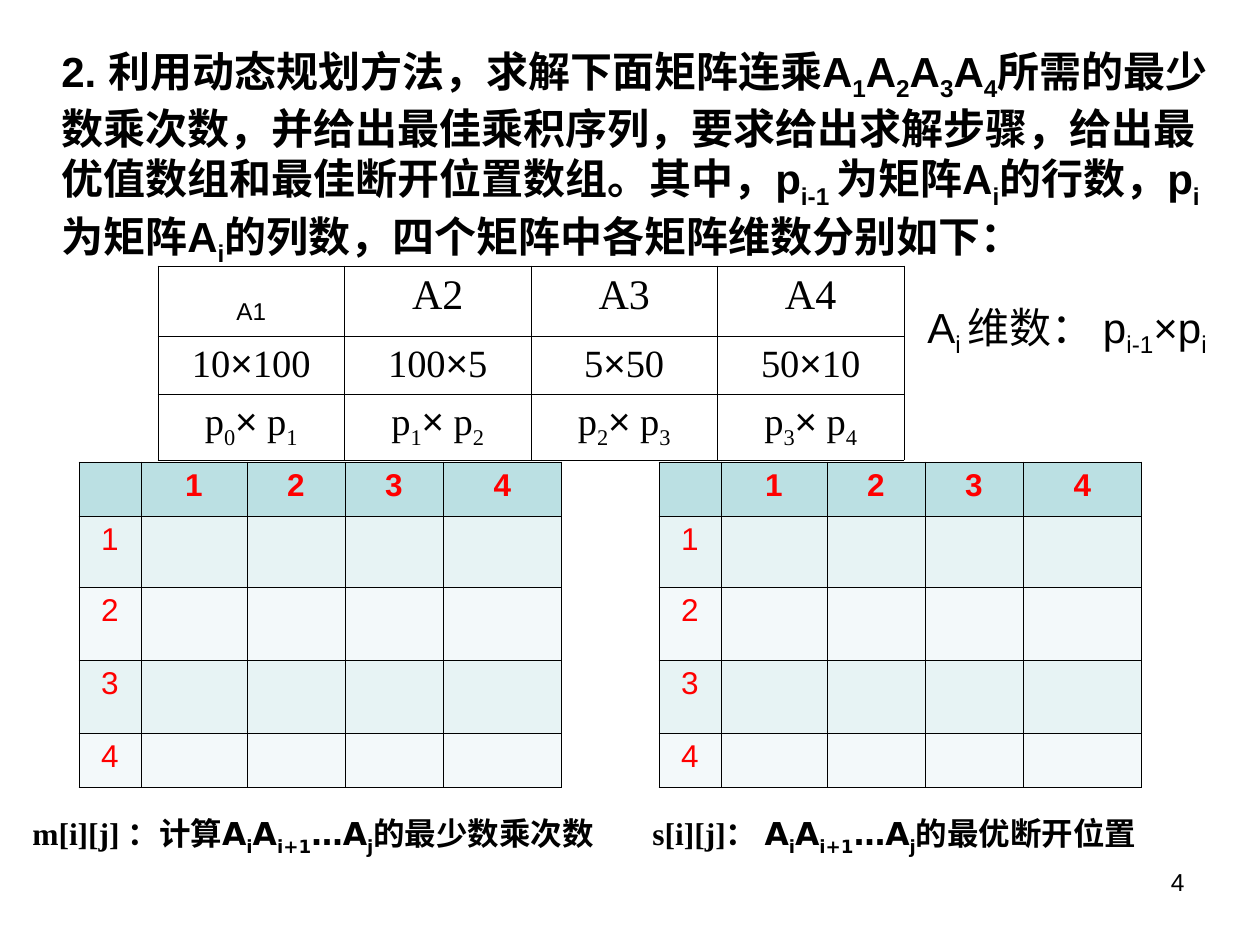
from lxml.etree import SubElement as Sub
from pptx import Presentation
from pptx.dml.color import RGBColor
from pptx.enum.text import MSO_AUTO_SIZE as Fit, PP_ALIGN as Align
from pptx.oxml.ns import qn
from pptx.util import Emu, Pt

SCALE = 914400 / 126
BLACK = RGBColor(0x00, 0x00, 0x00)
RED = RGBColor(0xFF, 0x00, 0x00)
HEAD = RGBColor(0xBB, 0xE0, 0xE3)
BANDS = [RGBColor(0xE7, 0xF3, 0xF4), RGBColor(0xF3, 0xF9, 0xFA)]
SANS, SERIF, WIDE = "Arial", "Times New Roman", "DejaVu Sans"


def px(n):
    return Emu(round(n * SCALE))


def write(par, parts, font, size, color=BLACK, bold=False):
    """Add runs to a paragraph; every second part is a subscript."""
    for i, part in enumerate(parts):
        if not part:
            continue
        run = par.add_run()
        run.text = part
        run.font.name = font
        run.font.size = Pt(size)
        run.font.bold = bold
        run.font.color.rgb = color
        if i % 2:
            run.font._element.set("baseline", "-25000")


def add_text(slide, box, wrap=True, fit=Fit.SHAPE_TO_FIT_TEXT):
    frame = slide.shapes.add_textbox(*map(px, box)).text_frame
    frame.word_wrap = wrap
    frame.auto_size = fit
    return frame.paragraphs[0]


def add_grid(slide, left, top, cols, rows):
    """Add an unstyled table with thin black borders."""
    shape = slide.shapes.add_table(len(rows), len(cols), px(left), px(top),
                                   px(sum(cols)), px(sum(rows)))
    grid = shape.table
    grid.first_row = grid.horz_banding = False
    for col, width in zip(grid.columns, cols):
        col.width = px(width)
    for row, height in zip(grid.rows, rows):
        row.height = px(height)
    for cell in grid.iter_cells():
        props = cell._tc.get_or_add_tcPr()
        for side in ("a:lnL", "a:lnR", "a:lnT", "a:lnB"):
            line = Sub(props, qn(side), w=str(Pt(0.45)))
            Sub(Sub(line, qn("a:solidFill")), qn("a:srgbClr"), val=str(BLACK))
        cell.fill.background()
        cell.text_frame.paragraphs[0].alignment = Align.CENTER
    return grid


def add_task(slide, box):
    parts = ["2. 利用动态规划方法，求解下面矩阵连乘A", "1", "A", "2", "A", "3", "A", "4",
             "所需的最少数乘次数，并给出最佳乘积序列，要求给出求解步骤，"
             "给出最优值数组和最佳断开位置数组。其中，p", "i-1 ",
             "为矩阵A", "i", "的行数，p", "i", "为矩阵A", "i",
             "的列数，四个矩阵中各矩阵维数分别如下："]
    write(add_text(slide, box), parts, SANS, 24, bold=True)


def add_sizes(slide, left, top):
    """Table of matrix names, dimensions and symbols."""
    dims = [10, 100, 5, 50, 10]
    count = len(dims) - 1
    grid = add_grid(slide, left, top, [186.5] * count, [58, 47, 53])
    for cell in grid.iter_cells():
        cell.margin_left = cell.margin_right = px(10)
    for i in range(count):
        name, dim, sym = (grid.cell(r, i).text_frame.paragraphs[0]
                          for r in range(3))
        if i == 0:
            write(name, ["", "A1"], SANS, 24)
        else:
            write(name, [f"A{i + 1}"], SERIF, 24)
        write(dim, [str(dims[i])], SERIF, 22)
        write(dim, ["×"], SANS, 22)
        write(dim, [str(dims[i + 1])], SERIF, 22)
        write(sym, ["p", str(i)], SERIF, 22)
        write(sym, ["×"], SANS, 22)
        write(sym, [" p", str(i + 1)], SERIF, 22)


def add_matrix(slide, left, top):
    """Empty 4 by 4 matrix with numbered head row and column."""
    grid = add_grid(slide, left, top, [62, 106, 98, 98, 119],
                    [54, 71, 73, 73, 54])
    for r in range(5):
        for c in range(5):
            cell = grid.cell(r, c)
            cell.fill.solid()
            cell.fill.fore_color.rgb = BANDS[(r - 1) % 2] if r else HEAD
            if (r == 0) != (c == 0):
                write(cell.text_frame.paragraphs[0], [str(r + c)],
                      SANS, 18, RED, bold=r == 0)


def add_note(slide, box, label, tail):
    par = add_text(slide, box)
    write(par, [label], SERIF, 18, bold=True)
    write(par, ["A", "i", "A", "i+1", "…A", "j"], WIDE, 18, bold=True)
    write(par, [tail], SERIF, 18, bold=True)


def add_rule(slide, box):
    write(add_text(slide, box, wrap=False),
          ["A", "i ", "维数： p", "i-1", "×p", "i"], SANS, 24)


def add_number(slide, box):
    par = add_text(slide, box, fit=Fit.NONE)
    par.alignment = Align.RIGHT
    write(par, ["4"], SANS, 14)


def main():
    deck = Presentation()
    deck.slide_width, deck.slide_height = px(1260), px(945)
    slide = deck.slides.add_slide(deck.slide_layouts[6])

    # Task and given dimensions
    add_number(slide, (903, 861, 294, 66))
    add_task(slide, (49, 39, 1182, 236))
    add_sizes(slide, 158, 266)
    add_rule(slide, (915, 295, 340, 71))

    # Matrices to fill in, with their meaning
    add_matrix(slide, 79, 462)
    add_note(slide, (20, 808, 630, 55), "m[i][j] ：计算", "的最少数乘次数")
    add_matrix(slide, 659, 462)
    add_note(slide, (640, 808, 571, 55), "s[i][j]： ", "的最优断开位置")

    deck.save("out.pptx")


if __name__ == "__main__":
    main()
